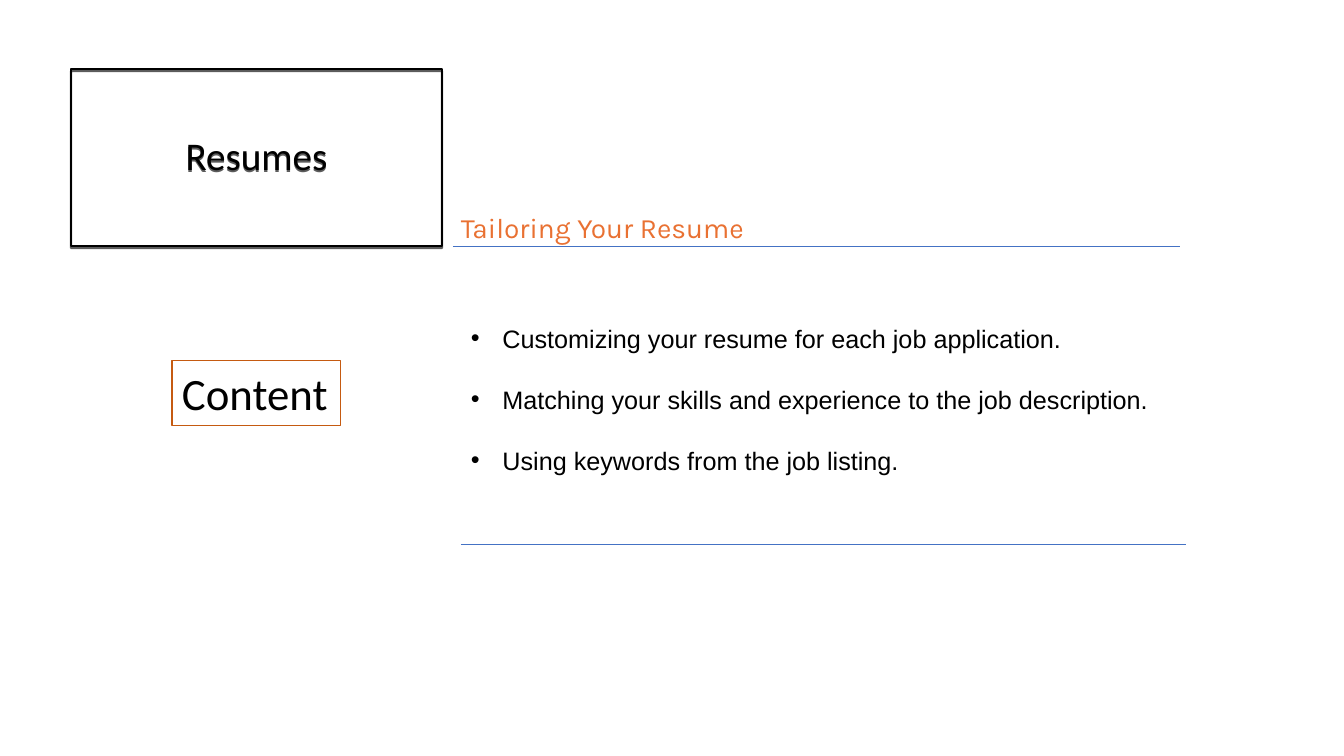
"""Build the resume tailoring slide."""
import pptx
import pptx.dml.color
import pptx.enum.shapes
import pptx.enum.text
import pptx.oxml
import pptx.oxml.ns
import pptx.util

PX = 914400 / 100.8
BLACK = pptx.dml.color.RGBColor(0x00, 0x00, 0x00)
ORANGE = pptx.dml.color.RGBColor(0xE9, 0x71, 0x32)
RUST = pptx.dml.color.RGBColor(0xC5, 0x5A, 0x11)
BLUE = pptx.dml.color.RGBColor(0x44, 0x72, 0xC4)
NS = pptx.oxml.ns.nsdecls("a")
MIDDLE = pptx.enum.text.MSO_ANCHOR.MIDDLE
TOP = pptx.enum.text.MSO_ANCHOR.TOP
LEFT = pptx.enum.text.PP_ALIGN.LEFT
CENTER = pptx.enum.text.PP_ALIGN.CENTER


def px(n):
    return pptx.util.Emu(round(n * PX))


def add_text(text, box, size, font, color=BLACK, align=LEFT, anchor=TOP,
             wrap=True, border=None, weight=0.75, bullet=False, gap=0, spacing=1.0):
    sp = s.shapes.add_textbox(*map(px, box))
    if border is not None:
        sp.line.color.rgb = border
        sp.line.width = pptx.util.Pt(weight)
    tf = sp.text_frame
    tf.word_wrap = wrap
    tf.vertical_anchor = anchor
    for i, line in enumerate(text.split("\n")):
        p = tf.paragraphs[0] if i == 0 else tf.add_paragraph()
        p.alignment = align
        p.line_spacing = spacing
        p.space_before = pptx.util.Pt(gap if i else 0)
        if bullet:
            pPr = p._p.get_or_add_pPr()
            pPr.set("marL", "285750")
            pPr.set("indent", "-285750")
            pPr.append(pptx.oxml.parse_xml(f'<a:buFont {NS} typeface="Arial"/>'))
            pPr.append(pptx.oxml.parse_xml(f'<a:buChar {NS} char="•"/>'))
        r = p.add_run()
        r.text = line
        r.font.size = pptx.util.Pt(size)
        r.font.name = font
        r.font.color.rgb = color
    return sp


prs = pptx.Presentation()
prs.slide_width, prs.slide_height = px(1344), px(756)
s = prs.slides.add_slide(prs.slide_layouts[6])

title = add_text("Resumes", (71, 69, 371, 177), 28, "Calibri", align=CENTER,
                 anchor=MIDDLE, border=BLACK, weight=1.5, spacing=0.9)
title.shadow.inherit = False
effects = title._element.spPr.find(pptx.oxml.ns.qn("a:effectLst"))
effects.append(pptx.oxml.parse_xml(
    f'<a:outerShdw {NS} blurRad="0" dist="19050" dir="5400000" algn="ctr" rotWithShape="0">'
    '<a:srgbClr val="000000"><a:alpha val="63000"/></a:srgbClr></a:outerShdw>'))

for x1, x2, y in ((453, 1180, 246), (461, 1186, 544)):
    rule = s.shapes.add_connector(pptx.enum.shapes.MSO_CONNECTOR.STRAIGHT,
                                  px(x1), px(y), px(x2), px(y))
    rule.line.color.rgb = BLUE
    rule.line.width = pptx.util.Pt(0.5)
    rule._element.spPr.append(pptx.oxml.parse_xml(f"<a:effectLst {NS}/>"))

add_text("Tailoring Your Resume", (451, 206, 672, 44), 20, "Karla", color=ORANGE)
add_text("Content", (172, 361, 169, 65), 32, "Calibri", wrap=False, border=RUST)
add_text("Customizing your resume for each job application.\n"
         "Matching your skills and experience to the job description.\n"
         "Using keywords from the job listing.",
         (461, 318, 747, 160), 18, "Arial", bullet=True, gap=22)

prs.save("out.pptx")
